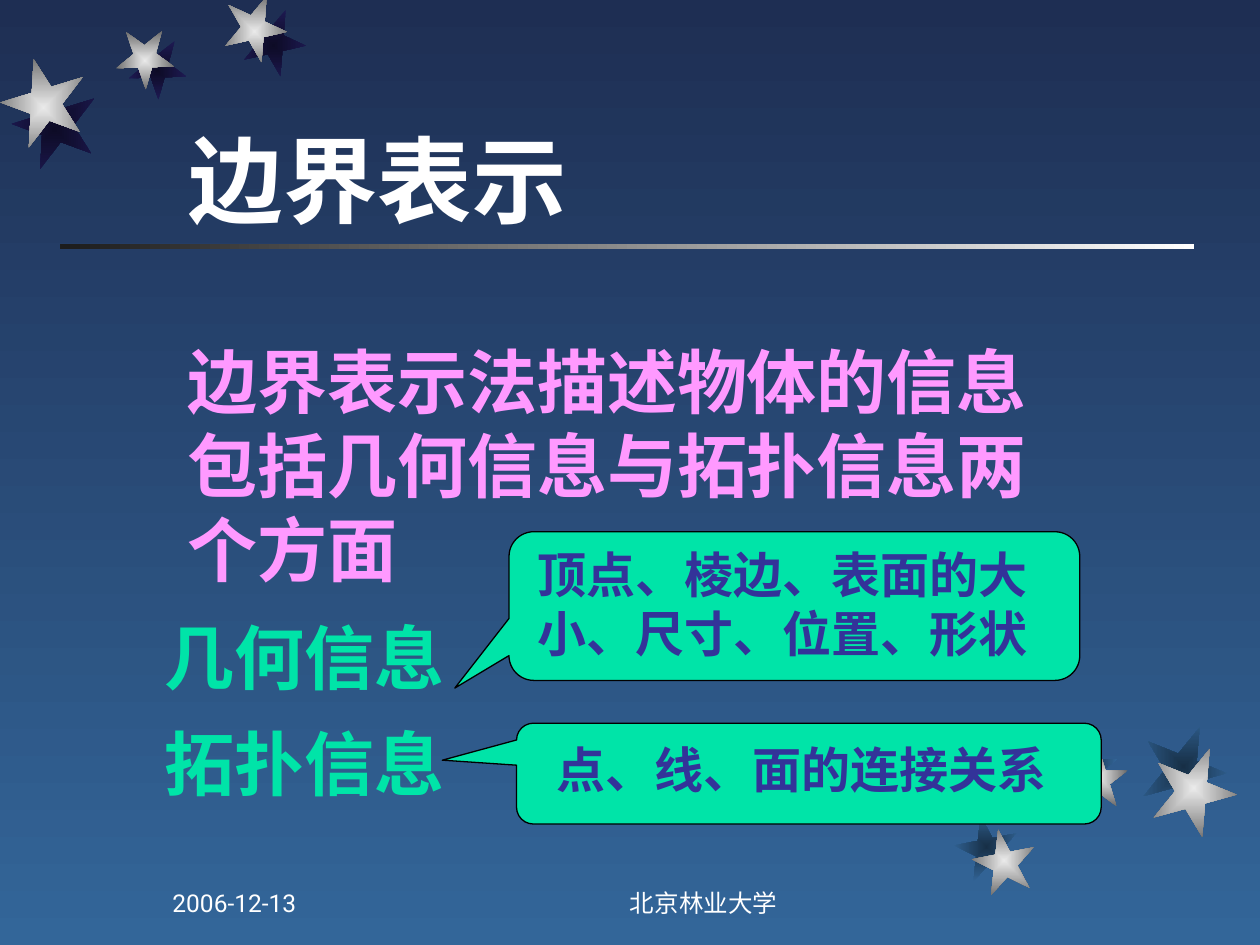
from lxml.etree import SubElement
from pptx import Presentation
from pptx.dml.color import RGBColor
from pptx.enum.shapes import MSO_SHAPE
from pptx.enum.text import MSO_ANCHOR, PP_ALIGN
from pptx.oxml.ns import qn
from pptx.util import Inches, Pt

WHITE = RGBColor(0xFF, 0xFF, 0xFF)
BLACK = RGBColor(0x00, 0x00, 0x00)
CHARCOAL = RGBColor(0x1C, 0x1C, 0x1C)
NAVY = RGBColor(0x1E, 0x2E, 0x53)
BLUE = RGBColor(0x33, 0x66, 0x99)
INDIGO = RGBColor(0x33, 0x33, 0x99)
PINK = RGBColor(0xFF, 0x99, 0xFF)
GREEN = RGBColor(0x00, 0xE4, 0xA8)
SILVER = (RGBColor(0xEA, 0xEA, 0xEA), RGBColor(0x6B, 0x6B, 0x6B))
NIGHT_SHADOW = (RGBColor(0x0D, 0x0B, 0x26), RGBColor(0x1E, 0x1A, 0x53))
BLUE_SHADOW = (RGBColor(0x17, 0x2F, 0x46), BLUE)

SERIF = "Times New Roman"
SANS = "Roboto"


def set_gradient(fill, colors, angle=0):
    """Fill with a two-colour linear gradient."""
    fill.gradient()
    fill.gradient_angle = angle
    for stop, color, position in zip(fill.gradient_stops, colors, (0, 1)):
        stop.color.rgb = color
        stop.position = position


def center_gradient(shape):
    """Turn the linear gradient of a shape into one that spreads from its centre."""
    gradient = shape._element.spPr.find(qn("a:gradFill"))
    linear = gradient.find(qn("a:lin"))
    position = gradient.index(linear)
    gradient.remove(linear)
    spread = SubElement(gradient, qn("a:path"), path="rect")
    SubElement(spread, qn("a:fillToRect"), l="50000", t="50000", r="50000", b="50000")
    gradient.insert(position, spread)


def add_text(slide, text, left, top, width, height, *, size, color, font=SERIF,
             bold=True, wrap=True, anchor=MSO_ANCHOR.TOP, align=PP_ALIGN.LEFT):
    """Add a text box holding one formatted paragraph."""
    box = slide.shapes.add_textbox(Inches(left), Inches(top), Inches(width), Inches(height))
    frame = box.text_frame
    frame.word_wrap = wrap
    frame.vertical_anchor = anchor
    paragraph = frame.paragraphs[0]
    paragraph.alignment = align
    run = paragraph.add_run()
    run.text = text
    run.font.size = Pt(size)
    run.font.name = font
    run.font.bold = bold
    run.font.color.rgb = color


def add_star(slide, left, top, size, rotation, colors):
    """Add one rotated five-pointed star."""
    star = slide.shapes.add_shape(
        MSO_SHAPE.STAR_5_POINT, Inches(left), Inches(top), Inches(size), Inches(size))
    star.rotation = rotation
    star.shadow.inherit = False
    star.line.fill.background()
    set_gradient(star.fill, colors)
    center_gradient(star)


def add_star_cluster(slide, left, top, stars, shadow_colors, direction):
    """Add silver stars over their darker, offset shadows."""
    for x, y, size, rotation, shift_x, shift_y in stars:
        add_star(slide, left + x + direction * shift_x, top + y + direction * shift_y,
                 size, rotation, shadow_colors)
    for x, y, size, rotation, _, _ in stars:
        add_star(slide, left + x, top + y, size, rotation, SILVER)


def add_backdrop(slide):
    """Paint the background, the title rule and both star clusters."""
    set_gradient(slide.background.fill, (NAVY, BLUE), 270)
    rule = slide.shapes.add_shape(
        MSO_SHAPE.RECTANGLE, Inches(0.48), Inches(1.94), Inches(9), Inches(0.04))
    rule.shadow.inherit = False
    rule.line.fill.background()
    set_gradient(rule.fill, (WHITE, CHARCOAL), 180)
    top_stars = [(1.76, 0, 0.5, 167.3, 0.15, 0.11),
                 (0.91, 0.25, 0.46, 178.3, 0.1, 0.08),
                 (0, 0.52, 0.67, 200.3, 0.09, 0.17)]
    bottom_stars = [(0, 0.66, 0.5, 349, 0.14, 0.11),
                    (0.77, 0.02, 0.46, 0, 0.08, 0.09),
                    (1.42, 0, 0.67, 22, 0.08, 0.17)]
    add_star_cluster(slide, 0.01, 0, top_stars, NIGHT_SHADOW, 1)
    add_star_cluster(slide, 7.72, 5.92, bottom_stars, BLUE_SHADOW, -1)


def add_callout(slide, text, left, top, width, height, tip, text_box, wrap):
    """Add a green callout with its text box placed relative to its corner."""
    callout = slide.shapes.add_shape(
        MSO_SHAPE.ROUNDED_RECTANGULAR_CALLOUT,
        Inches(left), Inches(top), Inches(width), Inches(height))
    callout.adjustments[0], callout.adjustments[1] = tip
    callout.shadow.inherit = False
    callout.fill.solid()
    callout.fill.fore_color.rgb = GREEN
    callout.line.color.rgb = BLACK
    callout.line.width = Pt(0.75)
    x, y, text_width, text_height = text_box
    add_text(slide, text, left + x, top + y, text_width, text_height,
             size=28, color=INDIGO, wrap=wrap)


def add_body(slide, left, top):
    """Add the statement, the two kinds of information and their callouts."""
    add_text(slide, "边界表示法描述物体的信息包括几何信息与拓扑信息两个方面",
             left + 0.18, top, 7.38, 2.1, size=40, color=PINK)
    for row, label in enumerate(("几何信息", "拓扑信息")):
        add_text(slide, label, left, top + 2.19 + 0.84 * row, 2.42, 0.77,
                 size=40, color=GREEN, wrap=False)
    add_callout(slide, "顶点、棱边、表面的大小、尺寸、位置、形状",
                left + 2.83, top + 1.58, 4.53, 1.18, (-0.595, 0.552),
                (0.13, 0.05, 4.3, 1.04), True)
    add_callout(slide, "点、线、面的连接关系",
                left + 2.89, top + 3.1, 4.64, 0.8, (-0.627, -0.133),
                (0.22, 0.08, 4.08, 0.57), False)


def add_footer(slide, left, top, height):
    """Add the date and the university name."""
    style = dict(size=14, color=WHITE, font=SANS, bold=False, anchor=MSO_ANCHOR.BOTTOM)
    add_text(slide, "北京林业大学", left + 2.73, top, 3.17, height,
             align=PP_ALIGN.CENTER, **style)
    add_text(slide, "2006-12-13", left, top, 2.08, height, **style)


def main():
    """Build and save the presentation."""
    presentation = Presentation()
    presentation.slide_width = Inches(10)
    presentation.slide_height = Inches(7.5)
    slide = presentation.slides.add_slide(presentation.slide_layouts[6])
    add_backdrop(slide)
    add_text(slide, "边界表示", 1.4, 0.32, 7.5, 1.6, size=54, color=WHITE,
             font=SANS, anchor=MSO_ANCHOR.BOTTOM)
    add_body(slide, 1.21, 2.64)
    add_footer(slide, 1.27, 6.83, 0.5)
    presentation.save("out.pptx")


if __name__ == "__main__":
    main()
